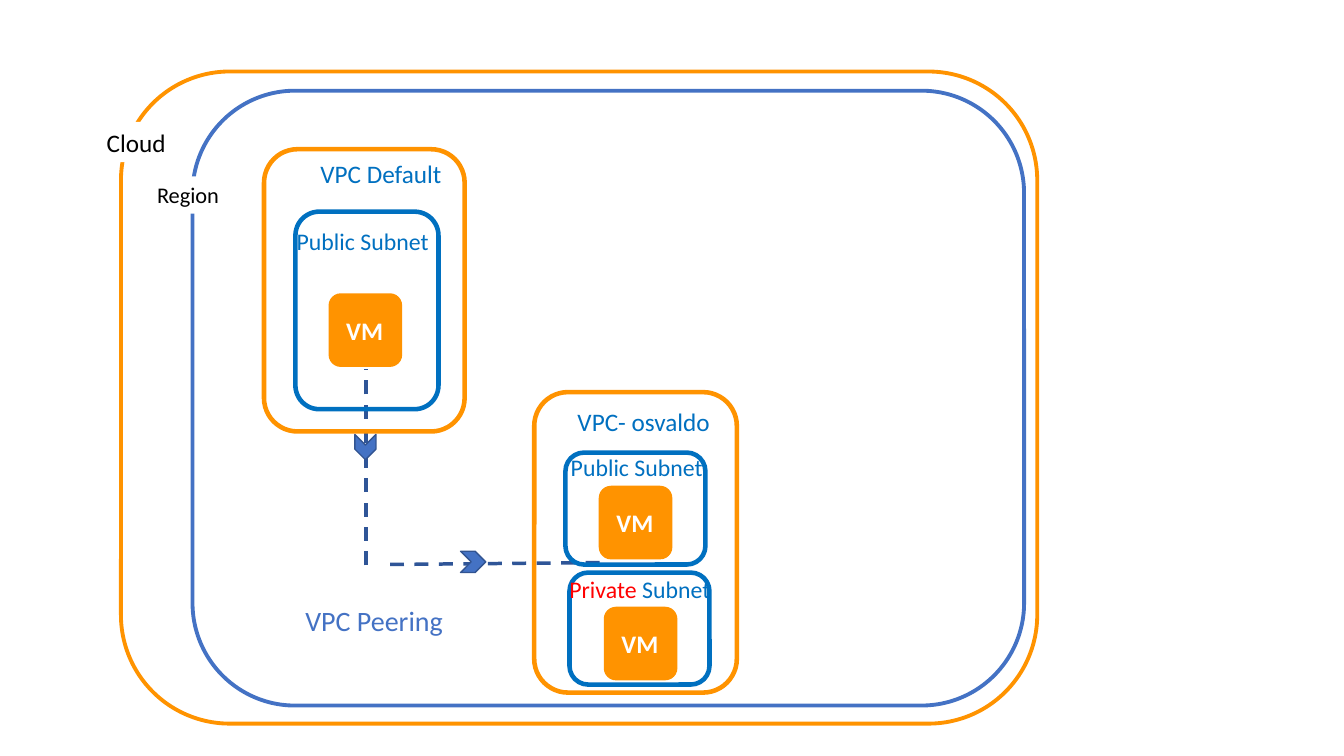
from pptx import Presentation
from pptx.dml.color import RGBColor
from pptx.enum.dml import MSO_LINE
from pptx.enum.shapes import MSO_CONNECTOR, MSO_SHAPE
from pptx.enum.text import MSO_ANCHOR, PP_ALIGN
from pptx.oxml.ns import qn
from pptx.util import Pt
from lxml import etree

ROUND = MSO_SHAPE.ROUNDED_RECTANGLE
RECT = MSO_SHAPE.RECTANGLE
CHEVRON = MSO_SHAPE.CHEVRON
STRAIGHT = MSO_CONNECTOR.STRAIGHT
DASH = MSO_LINE.DASH
LEFT, CENTER = PP_ALIGN.LEFT, PP_ALIGN.CENTER

ORANGE = RGBColor(0xFF, 0x93, 0x00)
BLUE = RGBColor(0x44, 0x72, 0xC4)
AZURE = RGBColor(0x00, 0x70, 0xC0)
NAVY = RGBColor(0x2F, 0x55, 0x97)
EDGE = RGBColor(0x32, 0x54, 0x91)
RED = RGBColor(0xFF, 0x00, 0x00)
WHITE = RGBColor(0xFF, 0xFF, 0xFF)
BLACK = RGBColor(0x00, 0x00, 0x00)

deck = Presentation()
deck.slide_width, deck.slide_height = Pt(960), Pt(540)
slide = deck.slides.add_slide(deck.slide_layouts[6])
shapes = slide.shapes


def add_box(kind, x, y, w, h, fill=None, line=None, width=1):
    box = shapes.add_shape(kind, Pt(x), Pt(y), Pt(w), Pt(h))
    box.shadow.inherit = False
    if fill is None:
        box.fill.background()
    else:
        box.fill.solid()
        box.fill.fore_color.rgb = fill
    if line is None:
        box.line.fill.background()
    else:
        box.line.color.rgb = line
        box.line.width = Pt(width)
    return box


def add_text(x, y, w, h, runs, size, align=LEFT, bold=False, wrap=True, fill=None):
    box = shapes.add_textbox(Pt(x), Pt(y), Pt(w), Pt(h))
    if fill is not None:
        box.fill.solid()
        box.fill.fore_color.rgb = fill
    frame = box.text_frame
    frame.word_wrap = wrap
    frame.vertical_anchor = MSO_ANCHOR.TOP
    para = frame.paragraphs[0]
    para.alignment = align
    para.font.name = "Calibri"
    para.font.size = Pt(size)
    para.font.bold = bold
    for words, color in runs:
        run = para.add_run()
        run.text = words
        run.font.color.rgb = color


for x1, y1, x2, y2 in [(261.4, 403.9, 261.4, 263.5), (278.6, 403.2, 434.2, 401.8)]:
    link = shapes.add_connector(STRAIGHT, Pt(x1), Pt(y1), Pt(x2), Pt(y2))
    link.line.color.rgb = NAVY
    link.line.width = Pt(2.5)
    link.line.dash_style = DASH
    etree.SubElement(link._element.spPr, qn("a:effectLst"))

for x, y, w, h, color, width in [
    (188.6, 106.6, 143.3, 201.6, ORANGE, 3.25),
    (137.5, 64.8, 594, 439.2, BLUE, 2.75),
    (86.4, 51.1, 654.5, 465.8, ORANGE, 2.75),
    (381.6, 280.1, 144.7, 214.6, ORANGE, 3.25),
]:
    add_box(ROUND, x, y, w, h, line=color, width=width)

add_text(105.1, 126, 64.8, 26.6, [("Region", BLACK)], 16, fill=WHITE)
add_text(69.1, 87.1, 56.9, 28.8, [("Cloud", BLACK)], 18, fill=WHITE)
add_text(221.8, 109.4, 111.6, 28.8, [("VPC Default", AZURE)], 18)
add_text(405.4, 286.6, 118.8, 28.8, [("VPC- osvaldo", AZURE)], 18)
add_text(211, 427.7, 113.8, 31.7, [("VPC Peering", BLUE)], 20, wrap=False)

public = [("Public Subnet ", AZURE)]
private = [("Private ", RED), ("Subnet ", AZURE)]
subnets = [
    ((211, 151.2, 102.2, 141.1), (234.7, 209.5), (172.8, 158.4), public),
    ((403.9, 323.3, 100, 80), (427.7, 347), (368.6, 319.7), public),
    ((406.8, 409, 100, 80), (431.3, 433.4), (370.8, 406.8), private),
]
for area, (x, y), (left, top), name in subnets:
    add_box(ROUND, *area, line=AZURE, width=3.25)
    add_text(left, top, 176.4, 28, name, 17, CENTER)
    add_box(ROUND, x, y, 52.6, 52.6, fill=ORANGE)
    add_text(x + 4.5, y + 12, 42.5, 28.8, [("VM", WHITE)], 18, CENTER, bold=True)

for x, y, turn in [(329, 393.8, 0), (252, 311.8, 90)]:
    arrow = add_box(CHEVRON, x, y, 18, 15.1, BLUE, EDGE)
    arrow.rotation = turn

deck.save("out.pptx")
